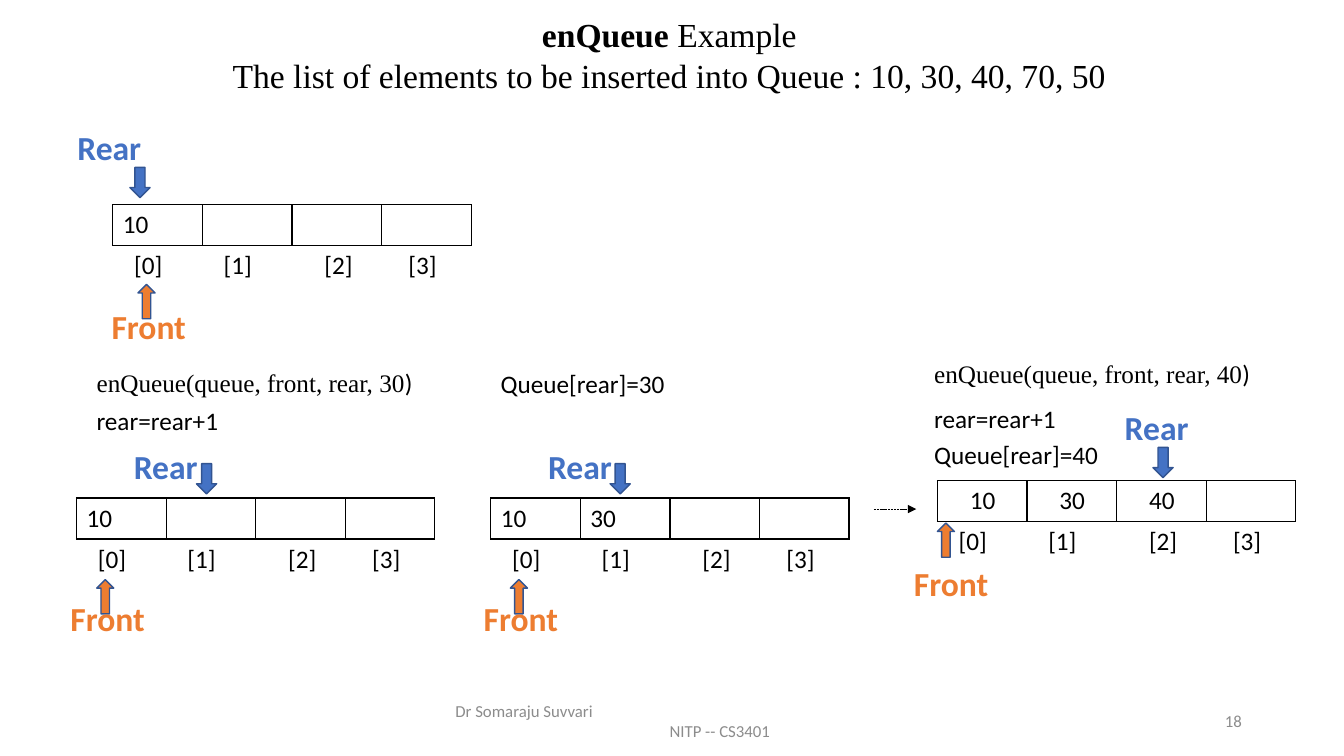
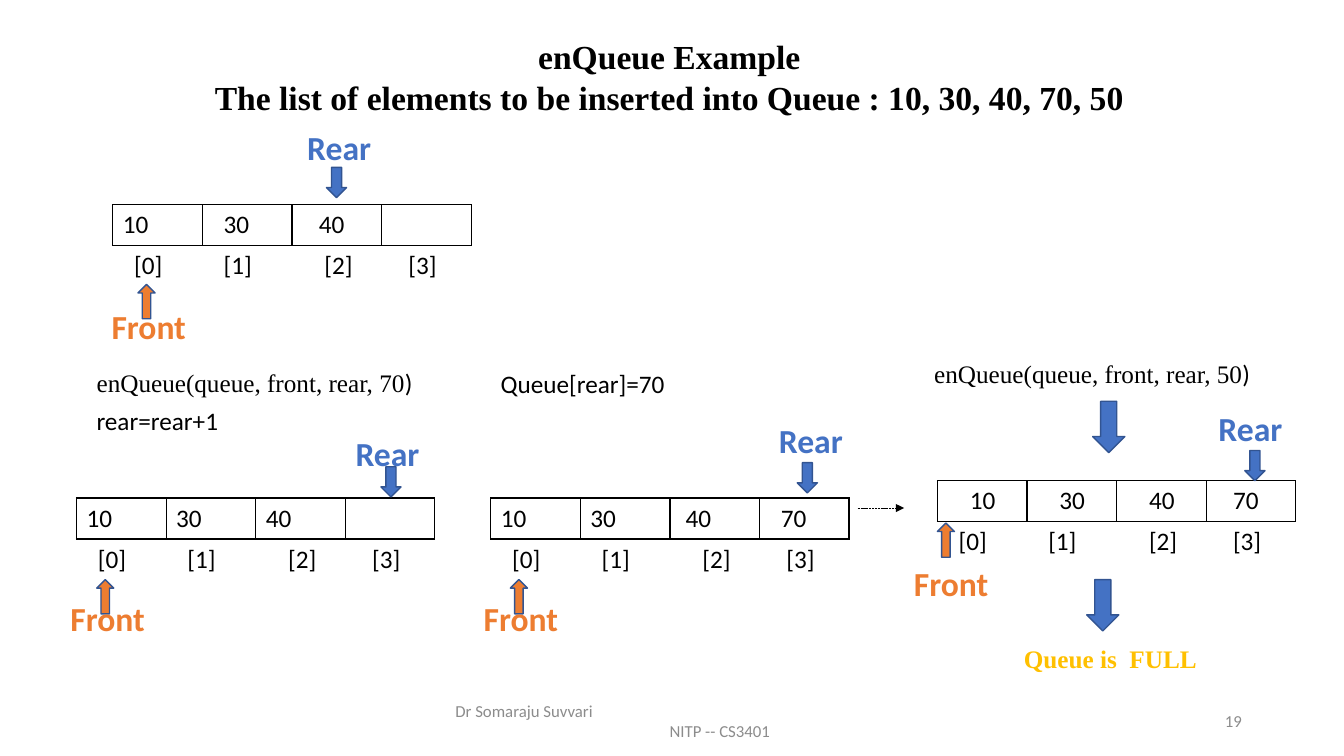
from dataclasses import dataclass

from pptx import Presentation
from pptx.dml.color import RGBColor
from pptx.enum.dml import MSO_LINE
from pptx.enum.shapes import MSO_CONNECTOR, MSO_SHAPE
from pptx.enum.text import MSO_ANCHOR as Anchor
from pptx.enum.text import MSO_AUTO_SIZE as AutoSize
from pptx.enum.text import PP_ALIGN as Align
from pptx.oxml.ns import qn
from pptx.oxml.xmlchemy import OxmlElement
from pptx.util import Pt


@dataclass(frozen=True)
class Theme:
    """Colours, fonts and type sizes of the whole presentation."""
    ink: str = "000000"
    rear: str = "4472C4"
    front: str = "ED7D31"
    outline: str = "325491"
    alert: str = "FFC000"
    muted: str = "8C8C8C"
    sans: str = "Calibri"
    serif: str = "Times New Roman"
    large: int = 24
    body: int = 18
    small: int = 12


@dataclass(frozen=True)
class Spot:
    """Place of a queue table; marker offsets are relative to it."""
    left: float
    top: float
    front_arrow: tuple
    front_label: tuple


THEME = Theme()
START = Spot(80.6, 146.2, (18, 57), (-8, 69))
MOVED = Spot(54.7, 355.7, (14.4, 58.3), (-11.5, 67.7))
STORED = Spot(350.6, 355.7, (14, 58.3), (-12.2, 67.7))
NEXT = Spot(669.6, 343.4, (0, 30.2), (-23.8, 55.4))

CELL_WIDTH, CELL_HEIGHT = 64, 29.3
CELL_MARGIN = 7.2
INDEX_INDENTS = (8, 8, 16, 12)
STEP_HEIGHT = 28.8
SMALL_DOWN, SMALL_UP, BIG_DOWN = (14.4, 21.6), (12.2, 24.5), (23, 36.7)
LIST_LINE = "The list of elements to be inserted into Queue : 10, 30, 40, 70, 50"


def write(frame, *lines, font=THEME.sans, size=THEME.body, color=THEME.ink,
          bold=False, align=Align.LEFT, anchor=Anchor.TOP):
    """Fill a text frame; a line is a string or a list of (text, format) runs."""
    frame.word_wrap = True
    frame.auto_size = AutoSize.NONE
    frame.vertical_anchor = anchor
    for number, line in enumerate(lines):
        paragraph = frame.add_paragraph() if number else frame.paragraphs[0]
        paragraph.alignment = align
        for text, changes in [(line, {})] if isinstance(line, str) else line:
            run = paragraph.add_run()
            run.text = text
            run.font.name = changes.get("font", font)
            run.font.size = Pt(size)
            run.font.bold = changes.get("bold", bold)
            run.font.color.rgb = RGBColor.from_string(color)


def add_text(slide, left, top, width, height, *lines, **style):
    """Add a text box and return its text frame."""
    shape = slide.shapes.add_textbox(Pt(left), Pt(top), Pt(width), Pt(height))
    write(shape.text_frame, *lines, **style)
    return shape.text_frame


def add_arrow(slide, kind, left, top, size, color):
    """Add an outlined block arrow."""
    shape = slide.shapes.add_shape(kind, Pt(left), Pt(top), *map(Pt, size))
    shape.shadow.inherit = False
    shape.fill.solid()
    shape.fill.fore_color.rgb = RGBColor.from_string(color)
    shape.line.color.rgb = RGBColor.from_string(THEME.outline)
    shape.line.width = Pt(1)


def add_down_arrow(slide, left, top, size=BIG_DOWN):
    """Add a blue arrow that points down."""
    add_arrow(slide, MSO_SHAPE.DOWN_ARROW, left, top, size, THEME.rear)


def add_label(slide, left, top, text, color):
    """Add the bold name of a queue marker."""
    add_text(slide, left, top, 69.1, 36, text,
             size=THEME.large, color=color, bold=True)


def set_borders(cell, visible):
    """Draw the listed cell sides in black and hide the others."""
    properties = cell._tc.get_or_add_tcPr()
    for position, side in enumerate(("L", "R", "T", "B")):
        line = OxmlElement(f"a:ln{side}")
        line.set("w", str(Pt(1)))
        if side in visible:
            fill = OxmlElement("a:solidFill")
            color = OxmlElement("a:srgbClr")
            color.set("val", THEME.ink)
            fill.append(color)
        else:
            fill = OxmlElement("a:noFill")
        line.append(fill)
        properties.insert(position, line)


def add_queue_table(slide, left, top, values):
    """Add the four cells, given as (text, indent), above their indices."""
    columns = len(INDEX_INDENTS)
    table = slide.shapes.add_table(
        2, columns, Pt(left), Pt(top),
        Pt(columns * CELL_WIDTH), Pt(2 * CELL_HEIGHT)).table
    table.first_row = table.horz_banding = False
    values = values + [("", 0)] * (columns - len(values))
    indices = [(f"[{i}]", indent) for i, indent in enumerate(INDEX_INDENTS)]
    for row, (entries, sides) in enumerate(((values, "LRTB"), (indices, "T"))):
        table.rows[row].height = Pt(CELL_HEIGHT)
        for column, (text, indent) in enumerate(entries):
            table.columns[column].width = Pt(CELL_WIDTH)
            cell = table.cell(row, column)
            cell.fill.background()
            cell.margin_left = Pt(CELL_MARGIN + indent)
            write(cell.text_frame, text)
            set_borders(cell, sides)


def add_queue(slide, spot, values, rear_label, rear_arrow):
    """Add a queue with its Rear and Front markers, offset from the table."""
    def place(offset):
        return spot.left + offset[0], spot.top + offset[1]

    add_queue_table(slide, spot.left, spot.top, values)
    add_label(slide, *place(rear_label), "Rear", THEME.rear)
    add_down_arrow(slide, *place(rear_arrow), SMALL_DOWN)
    add_arrow(slide, MSO_SHAPE.UP_ARROW, *place(spot.front_arrow),
              SMALL_UP, THEME.front)
    add_label(slide, *place(spot.front_label), "Front", THEME.front)


def add_step(slide, left, top, text, width=150):
    """Add one line of the algorithm."""
    add_text(slide, left, top, width, STEP_HEIGHT, text)


def add_call(slide, left, top, value):
    """Add the enQueue call for a value."""
    line = [(f"enQueue(queue, front, rear, {value}", {"font": THEME.serif}),
            (")", {})]
    add_step(slide, left, top, line, 262.8)


def add_dashed_arrow(slide, start, end, y):
    """Add the thin dashed arrow between two states."""
    connector = slide.shapes.add_connector(
        MSO_CONNECTOR.STRAIGHT, Pt(start), Pt(y), Pt(end), Pt(y))
    connector.line.color.rgb = RGBColor.from_string(THEME.ink)
    connector.line.width = Pt(0.5)
    connector.line.dash_style = MSO_LINE.SQUARE_DOT
    properties = connector.element.spPr
    head = OxmlElement("a:tailEnd")
    head.set("type", "triangle")
    properties.find(qn("a:ln")).append(head)
    properties.append(OxmlElement("a:effectLst"))


def add_footer(slide, number):
    """Add the author, the course and the slide number."""
    style = dict(size=THEME.small, color=THEME.muted, anchor=Anchor.MIDDLE)
    frame = add_text(slide, 318.2, 500.4, 324, 28.8,
                     "Dr Somaraju Suvvari", "NITP -- CS3401", **style)
    course = frame.paragraphs[1]._p.get_or_add_pPr()
    course.set("marL", str(Pt(153)))
    add_text(slide, 678.2, 500.4, 216, 28.8, str(number),
             align=Align.RIGHT, **style)


def add_example_slide(presentation, number, title_top, heading, bold, value, next_value):
    """Add a slide with the title, steps and footer that both examples share."""
    slide = presentation.slides.add_slide(presentation.slide_layouts[5])
    title = slide.shapes.title
    title.left, title.top = Pt(53.3), Pt(title_top)
    title.width, title.height = Pt(849.6), Pt(65.5)
    write(title.text_frame, heading, LIST_LINE, font=THEME.serif,
          size=THEME.large, bold=bold, align=Align.CENTER)
    add_call(slide, 61.9, 258.5, value)
    add_step(slide, 61.9, 285.8, "rear=rear+1")
    add_step(slide, 350.6, 259.9, f"Queue[rear]={value}")
    add_call(slide, 660.2, 252.7, next_value)
    add_footer(slide, number)
    return slide


def add_first_example(presentation):
    """Insert 30 and then 40."""
    slide = add_example_slide(
        presentation, 18, 6.5, [("enQueue", {"bold": True}), (" Example", {})],
        False, 30, 40)
    add_queue(slide, START, [("10", 0)], (-32.4, -59), (12.2, -26.6))
    add_queue(slide, MOVED, [("10", 0)], (33.8, -41), (85.7, -24.5))
    add_queue(slide, STORED, [("10", 0), ("30", 0)], (33.8, -41), (85.2, -24.5))
    add_queue(slide, NEXT, [("10", 16), ("30", 16), ("40", 16)],
              (126.7, -56.2), (154, -23.8))
    add_step(slide, 660.2, 284.4, "rear=rear+1")
    add_step(slide, 660.2, 310.3, "Queue[rear]=40")
    add_dashed_arrow(slide, 624.2, 654.5, 363.6)


def add_second_example(presentation):
    """Insert 70 and find the queue full at 50."""
    slide = add_example_slide(
        presentation, 19, 22.3, "enQueue Example", True, 70, 50)
    add_queue(slide, START, [("10", 0), ("30", 8), ("40", 12)],
              (131.8, -59), (152.6, -26.6))
    add_queue(slide, MOVED, [("10", 0), ("30", 0), ("40", 0)],
              (192.2, -49.7), (217.4, -22.3))
    add_queue(slide, STORED, [("10", 0), ("30", 0), ("40", 4), ("70", 8)],
              (198.7, -59), (218.9, -25.2))
    add_queue(slide, NEXT, [("10", 16), ("30", 16), ("40", 16), ("70", 12)],
              (193.7, -55.4), (219.6, -21.6))
    add_dashed_arrow(slide, 612.7, 645.8, 362.9)
    add_down_arrow(slide, 780.5, 286.6)
    add_down_arrow(slide, 776.2, 414)
    add_text(slide, 661.7, 455.8, 262.8, STEP_HEIGHT, "Queue is  FULL",
             font=THEME.serif, color=THEME.alert, bold=True, align=Align.CENTER)


def main():
    """Build and save the presentation."""
    presentation = Presentation()
    presentation.slide_width, presentation.slide_height = Pt(960), Pt(540)
    add_first_example(presentation)
    add_second_example(presentation)
    presentation.save("out.pptx")


main()
